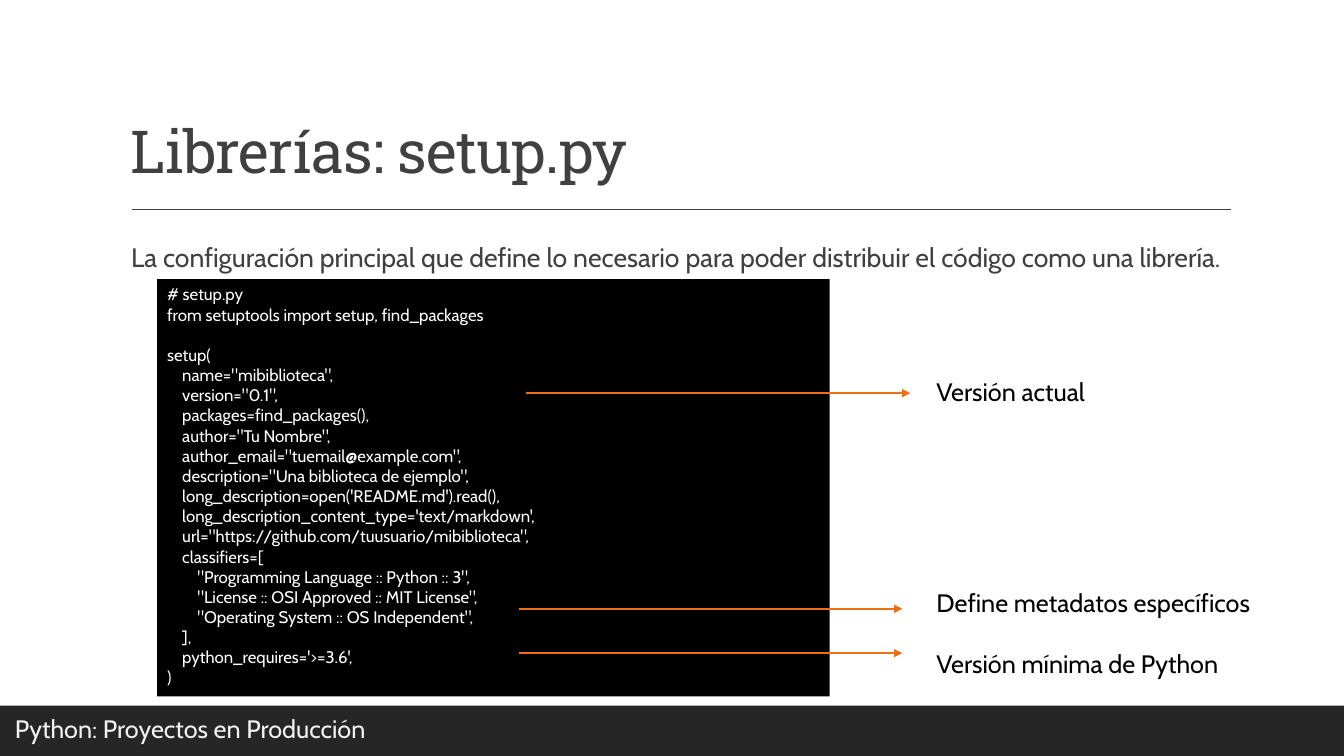
from lxml.etree import SubElement
from pptx import Presentation
from pptx.dml.color import RGBColor
from pptx.enum.shapes import MSO_CONNECTOR, MSO_SHAPE
from pptx.enum.text import MSO_ANCHOR, PP_ALIGN
from pptx.oxml.ns import qn
from pptx.util import Emu, Pt

PX = 9144
COLORS = {
    "ink": "404040",
    "footer": "262626",
    "footer_text": "F2F2F2",
    "black": "000000",
    "white": "FFFFFF",
    "accent": "EC7016",
}
BODY_FONT = "Cabin"
TITLE_FONT = "Roboto Slab"
SETUP_CODE = """# setup.py
from setuptools import setup, find_packages

setup(
    name="mibiblioteca",
    version="0.1",
    packages=find_packages(),
    author="Tu Nombre",
    author_email="tuemail@example.com",
    description="Una biblioteca de ejemplo",
    long_description=open('README.md').read(),
    long_description_content_type='text/markdown',
    url="https://github.com/tuusuario/mibiblioteca",
    classifiers=[
        "Programming Language :: Python :: 3",
        "License :: OSI Approved :: MIT License",
        "Operating System :: OS Independent",
    ],
    python_requires='>=3.6',
)"""
ARROWS = [(522, 903, 390), (515, 895, 604), (515, 895, 648)]
LABELS = [
    ("Versión actual", 368),
    ("Define metadatos específicos", 578),
    ("Versión mínima de Python", 638),
]


def px(*lengths):
    """Turn pixel lengths into EMU."""
    return [Emu(length * PX) for length in lengths]


def rgb(name):
    """Look up a named colour."""
    return RGBColor.from_string(COLORS[name])


def add_run(paragraph, text, size, color, font=BODY_FONT):
    """Add one formatted run to a paragraph."""
    run = paragraph.add_run()
    run.text = text
    run.font.size = Pt(size)
    run.font.name = font
    run.font.color.rgb = rgb(color)
    return run


def add_text(slide, box, text, size, color, font=BODY_FONT, wrap=True):
    """Add a text box with one line of text and return its frame and run."""
    frame = slide.shapes.add_textbox(*px(*box)).text_frame
    frame.word_wrap = wrap
    return frame, add_run(frame.paragraphs[0], text, size, color, font)


def add_block(slide, box, color):
    """Add a plain filled rectangle."""
    shape = slide.shapes.add_shape(MSO_SHAPE.RECTANGLE, *px(*box))
    shape.shadow.inherit = False
    shape.fill.solid()
    shape.fill.fore_color.rgb = rgb(color)
    shape.line.fill.background()
    return shape


def add_code(slide, box, code):
    """Add a dark block holding one paragraph per code line."""
    frame = add_block(slide, box, "black").text_frame
    frame.word_wrap = True
    frame.vertical_anchor = MSO_ANCHOR.TOP
    for index, line in enumerate(code.split("\n")):
        paragraph = frame.add_paragraph() if index else frame.paragraphs[0]
        paragraph.alignment = PP_ALIGN.LEFT
        if line:
            add_run(paragraph, line, 12, "white")
        else:
            SubElement(paragraph._p, qn("a:endParaRPr"), sz="1200")


def add_line(slide, left, right, y, color, arrow=False):
    """Add a horizontal line, with an arrowhead at its right end if asked."""
    line = slide.shapes.add_connector(MSO_CONNECTOR.STRAIGHT, *px(left, y, right, y))
    line.line.color.rgb = rgb(color)
    line.line.width = Pt(1)
    if arrow:
        SubElement(line.line._get_or_add_ln(), qn("a:tailEnd"), type="triangle")
    SubElement(line._element.spPr, qn("a:effectLst"))


def main():
    """Build the slide and save it."""
    presentation = Presentation()
    presentation.slide_width, presentation.slide_height = px(1333, 750)
    slide = presentation.slides.add_slide(presentation.slide_layouts[6])

    add_block(slide, (0, 700, 1333, 50), "footer")
    add_line(slide, 131, 1221, 208, "ink")

    frame, run = add_text(slide, (120, 136, 884, 54), "Librerías: setup.py", 42.3, "ink", TITLE_FONT)
    frame.vertical_anchor = MSO_ANCHOR.BOTTOM
    frame.paragraphs[0].line_spacing = 0.9
    run.font._element.set("spc", "-50")

    frame, run = add_text(
        slide,
        (130, 231, 1119, 45),
        "La configuración principal que define lo necesario para poder distribuir el código como una librería.",
        19,
        "ink",
    )
    frame.margin_left = frame.margin_right = 0
    frame.paragraphs[0].line_spacing = 1.1

    add_text(slide, (5, 703, 667, 40), "Python: Proyectos en Producción", 18, "footer_text")
    add_code(slide, (156, 277, 667, 414), SETUP_CODE)
    for left, right, y in ARROWS:
        add_line(slide, left, right, y, "accent", arrow=True)
    for text, top in LABELS:
        add_text(slide, (919, top, 336, 40), text, 18, "black", wrap=False)

    presentation.save("out.pptx")


if __name__ == "__main__":
    main()
